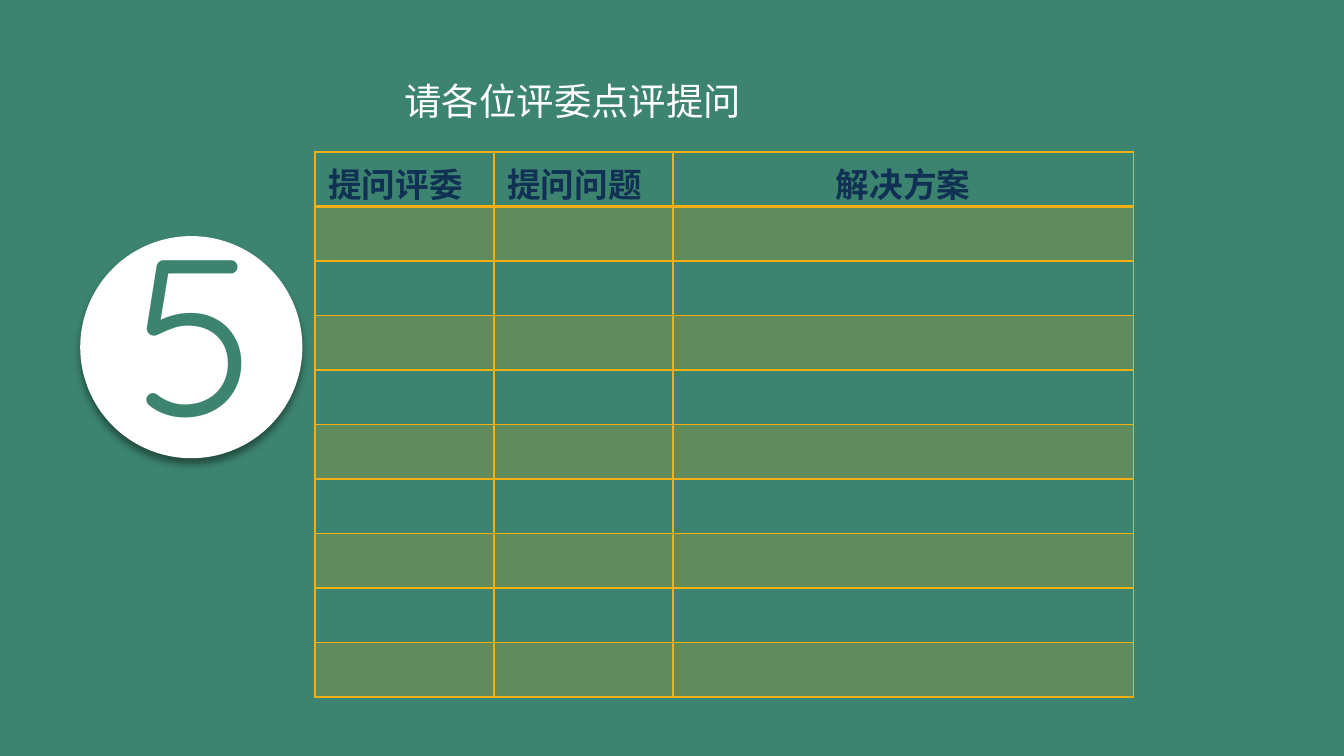
from dataclasses import dataclass
from typing import NamedTuple

from pptx import Presentation
from pptx.dml.color import RGBColor
from pptx.enum.shapes import MSO_SHAPE as Shape
from pptx.enum.text import MSO_ANCHOR as Anchor, MSO_AUTO_SIZE as AutoSize, PP_ALIGN as Align
from pptx.oxml import parse_xml
from pptx.oxml.ns import nsdecls
from pptx.util import Pt


class Box(NamedTuple):
    """A rectangle in points."""
    left: float
    top: float
    width: float
    height: float

    def lengths(self):
        """Return the four measures as lengths."""
        return [Pt(value) for value in self]


@dataclass(frozen=True)
class Theme:
    """Colours, font and type sizes of the slide."""
    green: str = "3C846F"
    white: str = "FFFFFF"
    navy: str = "103154"
    gold: str = "F1B015"
    font: str = "Quicksand"
    title_size: int = 20
    header_size: int = 18
    number_size: int = 120


THEME = Theme()
HEADERS = [("提问评委", Align.LEFT), ("提问问题", Align.LEFT), ("解决方案", Align.CENTER)]
COLUMN_WIDTHS = [95.9, 95.9, 246.7]
ROW_COUNT = 10
BAND_OPACITY = 20


def apply_format(target, values):
    """Set every attribute named in the dict."""
    for name, value in values.items():
        setattr(target, name, value)


def write(frame, text, size, color, alignment=Align.LEFT, bold=False, spacing=1.0):
    """Put one formatted paragraph into a text frame."""
    paragraph = frame.paragraphs[0]
    apply_format(paragraph, {"alignment": alignment, "line_spacing": spacing})
    run = paragraph.add_run()
    run.text = text
    apply_format(run.font, {"name": THEME.font, "size": Pt(size), "bold": bold})
    run.font.color.rgb = RGBColor.from_string(color)


def fit_frame(frame):
    """Let a single line set the size of its box."""
    apply_format(frame, {"word_wrap": False, "auto_size": AutoSize.SHAPE_TO_FIT_TEXT,
                         "vertical_anchor": Anchor.TOP})


def add_title(slide, box, text):
    """Place the heading in the title placeholder."""
    title = slide.shapes.title
    apply_format(title, dict(zip(box._fields, box.lengths())))
    fit_frame(title.text_frame)
    write(title.text_frame, text, THEME.title_size, THEME.white)


def add_badge(slide, box, number):
    """Draw the section number on a shadowed disc."""
    disc = slide.shapes.add_shape(Shape.OVAL, *box.lengths())
    disc.fill.solid()
    disc.fill.fore_color.rgb = RGBColor.from_string(THEME.white)
    disc.line.fill.background()
    disc._element.spPr.append(parse_xml(
        f'<a:effectLst {nsdecls("a")}><a:outerShdw blurRad="{Pt(4)}" dist="{Pt(3)}" '
        'dir="5400000" algn="t" rotWithShape="0"><a:srgbClr val="000000">'
        '<a:alpha val="40000"/></a:srgbClr></a:outerShdw></a:effectLst>'))
    label_box = Box(box.left + 21.8, box.top - 10, 75, 138.2)
    label = slide.shapes.add_textbox(*label_box.lengths())
    fit_frame(label.text_frame)
    write(label.text_frame, number, THEME.number_size, THEME.green, Align.CENTER, spacing=0.9)


def style_cell(cell, row):
    """Give a cell its gold borders and its banded fill."""
    properties = cell._tc.get_or_add_tcPr()
    for side in "LRTB":
        header_edge = (row, side) in [(0, "B"), (1, "T")]
        properties.append(parse_xml(
            f'<a:ln{side} {nsdecls("a")} w="{Pt(2 if header_edge else 1)}"><a:solidFill>'
            f'<a:srgbClr val="{THEME.gold}"/></a:solidFill></a:ln{side}>'))
    if row % 2:
        properties.append(parse_xml(
            f'<a:solidFill {nsdecls("a")}><a:srgbClr val="{THEME.gold}">'
            f'<a:alpha val="{BAND_OPACITY * 1000}"/></a:srgbClr></a:solidFill>'))
    else:
        cell.fill.background()


def add_question_table(slide, box):
    """Build the table for the judges' questions."""
    frame = slide.shapes.add_table(ROW_COUNT, len(HEADERS), *box.lengths())
    table = frame.table
    apply_format(table, {"first_row": False, "horz_banding": False})
    for column, width in zip(table.columns, COLUMN_WIDTHS):
        column.width = Pt(width)
    for index, row in enumerate(table.rows):
        row.height = Pt(box.height / ROW_COUNT)
        for cell in row.cells:
            style_cell(cell, index)
    for cell, (text, alignment) in zip(table.rows[0].cells, HEADERS):
        write(cell.text_frame, text, THEME.header_size, THEME.navy, alignment, bold=True)


def main():
    """Build and save the presentation."""
    presentation = Presentation()
    apply_format(presentation, {"slide_width": Pt(720), "slide_height": Pt(405)})
    slide = presentation.slides.add_slide(presentation.slide_layouts[5])
    slide.background.fill.solid()
    slide.background.fill.fore_color.rgb = RGBColor.from_string(THEME.green)
    add_title(slide, Box(209.5, 38.2, 196.6, 31.5), "请各位评委点评提问")
    add_badge(slide, Box(43, 126.5, 119, 119), "5")
    add_question_table(slide, Box(168.7, 81.5, sum(COLUMN_WIDTHS), 292))
    presentation.save("out.pptx")


if __name__ == "__main__":
    main()
